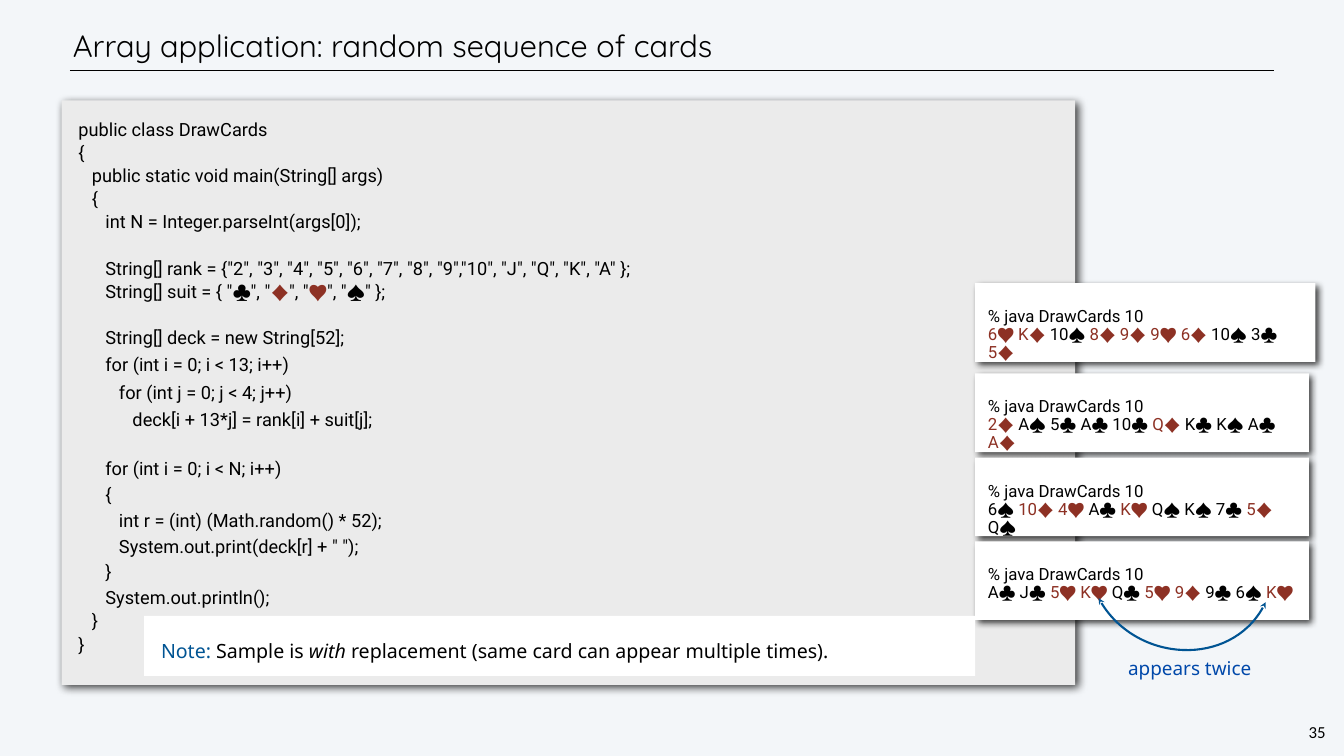
from itertools import groupby
from typing import Iterable, NamedTuple

from lxml.etree import SubElement
from pptx import Presentation
from pptx.dml.color import RGBColor
from pptx.enum.shapes import MSO_CONNECTOR, MSO_SHAPE
from pptx.enum.text import MSO_ANCHOR, PP_ALIGN
from pptx.oxml.ns import qn
from pptx.util import Pt


class Theme(NamedTuple):
    back: str = "F3F6F9"
    panel: str = "EBEBEB"
    white: str = "FFFFFF"
    ink: str = "000000"
    red: str = "8D3124"
    blue: str = "005493"
    label: str = "0048AA"
    head: str = "Quicksand"
    code: str = "Roboto"
    body: str = "Noto Sans"
    foot: str = "Calibri"
    title_size: float = 44
    note_size: float = 28
    label_size: float = 27
    code_size: float = 26
    small: float = 24


class Box(NamedTuple):
    left: float
    top: float
    width: float
    height: float


class Style(NamedTuple):
    font: str
    size: float


class Span(NamedTuple):
    text: str
    color: str
    slant: bool = False


class Block(NamedTuple):
    """Code lines that share a pitch, with a gap above the first."""
    gap: float
    pitch: float
    code: str


class Tile(NamedTuple):
    """One program run: its place and the cards it prints."""
    top: float
    width: float
    cards: str


THEME = Theme()

BLOCKS = [
    Block(0, 33, """public class DrawCards
{
   public static void main(String[] args)
   {
      int N = Integer.parseInt(args[0]);"""),
    Block(33, 33, """      String[] rank = {"2", "3", "4", "5", "6", "7", "8", "9","10", "J", "Q", "K", "A" };
      String[] suit = { "♣", "♦", "♥", "♠" };"""),
    Block(33, 33, "      String[] deck = new String[52];"),
    Block(0, 39, """      for (int i = 0; i < 13; i++)
         for (int j = 0; j < 4; j++)
            deck[i + 13*j] = rank[i] + suit[j];"""),
    Block(33, 37, """      for (int i = 0; i < N; i++)
      {
         int r = (int) (Math.random() * 52);
         System.out.print(deck[r] + " ");
      }
      System.out.println();"""),
    Block(0, 33, "   }\n}"),
]

TILES = [
    Tile(404.6, 486, "6♥ K♦ 10♠ 8♦ 9♦ 9♥ 6♦ 10♠ 3♣ 5♦"),
    Tile(533.5, 476.6, "2♦ A♠ 5♣ A♣ 10♣ Q♦ K♣ K♠ A♣ A♦"),
    Tile(653.8, 476.6, "6♠ 10♦ 4♥ A♣ K♥ Q♠ K♠ 7♣ 5♦ Q♠"),
    Tile(773.3, 476.6, "A♣ J♣ 5♥ K♥ Q♣ 5♥ 9♦ 9♣ 6♠ K♥"),
]


def paint(color: str) -> RGBColor:
    return RGBColor.from_string(color)


def tint(parts: Iterable[str]) -> list[Span]:
    """Join neighbours of one colour; parts with a heart or diamond are red."""
    groups = groupby(parts, lambda part: "♥" in part or "♦" in part)
    return [Span("".join(run), THEME.red if red else THEME.ink)
            for red, run in groups]


def fill_para(para, spans: list[Span], style: Style, pitch) -> None:
    para.line_spacing = pitch
    para.alignment = PP_ALIGN.LEFT
    for span in spans:
        run = para.add_run()
        run.text = span.text
        font = run.font
        font.name, font.size = style.font, Pt(style.size)
        font.color.rgb = paint(span.color)
        font.italic = span.slant


def set_frame(frame, inset: float, anchor=MSO_ANCHOR.TOP, wrap=True) -> None:
    frame.word_wrap = wrap
    frame.vertical_anchor = anchor
    frame.margin_left = frame.margin_right = Pt(inset)
    frame.margin_top = frame.margin_bottom = Pt(inset)


def add_label(slide, box: Box, span: Span, style: Style, pitch, inset: float,
              anchor=MSO_ANCHOR.TOP, align=PP_ALIGN.LEFT, wrap=True) -> None:
    frame = slide.shapes.add_textbox(*map(Pt, box)).text_frame
    set_frame(frame, inset, anchor, wrap)
    para = frame.paragraphs[0]
    fill_para(para, [span], style, pitch)
    para.alignment = align


def add_panel(slide, box: Box, color: str, inset: float, blur: float = 0):
    """Draw a filled box, with a shadow if blur is given; return its frame."""
    shape = slide.shapes.add_shape(MSO_SHAPE.RECTANGLE, *map(Pt, box))
    shape.shadow.inherit = False
    shape.fill.solid()
    shape.fill.fore_color.rgb = paint(color)
    shape.line.fill.background()
    if blur:
        glow = shape.element.spPr.find(qn("a:effectLst"))
        cast = SubElement(glow, qn("a:outerShdw"), blurRad=str(Pt(blur)),
                          dist=str(Pt(6)), dir=str(45 * 60000), rotWithShape="0")
        hue = SubElement(cast, qn("a:srgbClr"), val=THEME.ink)
        SubElement(hue, qn("a:alpha"), val="75000")
    set_frame(shape.text_frame, inset)
    return shape.text_frame


def add_code(slide) -> None:
    frame = add_panel(slide, Box(88, 143.3, 1448, 835), THEME.panel, 24, 13)
    style = Style(THEME.code, THEME.code_size)
    para = frame.paragraphs[0]
    for block in BLOCKS:
        for row, line in enumerate(block.code.split("\n")):
            if para is None:
                para = frame.add_paragraph()
            fill_para(para, tint(line), style, Pt(block.pitch))
            para.space_before = Pt(0 if row else block.gap)
            para = None


def add_tile(slide, tile: Tile) -> None:
    frame = add_panel(slide, Box(1393.2, tile.top, tile.width, 112.3),
                      THEME.white, 18, 10)
    style = Style(THEME.code, THEME.small)
    fill_para(frame.paragraphs[0], [Span("% java DrawCards 10", THEME.ink)],
              style, 1.5)
    cards = tile.cards.replace(" ", " \n").split("\n")
    fill_para(frame.add_paragraph(), tint(cards), style, 0.9)


def add_curve(slide, points: list[tuple[float, float]], color: str) -> None:
    """Draw a Bezier curve with an arrowhead at each end."""
    start, *rest = [(Pt(x), Pt(y)) for x, y in points]
    pen = slide.shapes.build_freeform(*start)
    pen.add_line_segments(rest, close=False)
    shape = pen.convert_to_shape()
    shape.shadow.inherit = False
    shape.fill.background()
    shape.line.color.rgb = paint(color)
    shape.line.width = Pt(3)
    trace = shape.element.spPr.find(".//" + qn("a:path"))
    steps = trace.findall(qn("a:lnTo"))
    bend = SubElement(trace, qn("a:cubicBezTo"))
    for step in steps:
        bend.append(step[0])
        trace.remove(step)
    for end in ("a:headEnd", "a:tailEnd"):
        SubElement(shape.line._get_or_add_ln(), qn(end), type="stealth")


def add_rule(slide) -> None:
    rule = slide.shapes.add_connector(
        MSO_CONNECTOR.STRAIGHT, Pt(100), Pt(100.8), Pt(1820), Pt(100.8))
    rule.line.color.rgb = paint(THEME.ink)
    rule.line.width = Pt(1)
    SubElement(rule.element.spPr, qn("a:effectLst"))


def main() -> None:
    deck = Presentation()
    deck.slide_width, deck.slide_height = Pt(1920), Pt(1080)
    slide = deck.slides.add_slide(deck.slide_layouts[6])
    slide.background.fill.solid()
    slide.background.fill.fore_color.rgb = paint(THEME.back)

    add_rule(slide)
    add_label(slide, Box(1866, 1029, 31, 34), Span("35", THEME.ink),
              Style(THEME.foot, THEME.small), Pt(28), 3,
              align=PP_ALIGN.CENTER, wrap=False)
    add_label(slide, Box(100, 30, 1629, 71),
              Span("Array application: random sequence of cards", THEME.ink),
              Style(THEME.head, THEME.title_size), Pt(50), 4, MSO_ANCHOR.MIDDLE)
    add_code(slide)
    for tile in TILES:
        add_tile(slide, tile)

    note = add_panel(slide, Box(206, 880, 1187, 85.7), THEME.white, 24)
    fill_para(note.paragraphs[0], [
        Span("Note:", THEME.blue),
        Span(" Sample is ", THEME.ink),
        Span("with", THEME.ink, True),
        Span(" replacement (same card can appear multiple times).", THEME.ink),
    ], Style(THEME.body, THEME.note_size), Pt(43))
    add_label(slide, Box(1580, 922.3, 239, 56), Span("appears twice", THEME.label),
              Style(THEME.body, THEME.label_size), 1.1, 12, align=PP_ALIGN.CENTER)
    add_curve(slide, [(1808, 860.4), (1764.7, 953.3), (1618.6, 946.8),
                      (1569.6, 854.6)], THEME.blue)
    deck.save("out.pptx")


if __name__ == "__main__":
    main()
